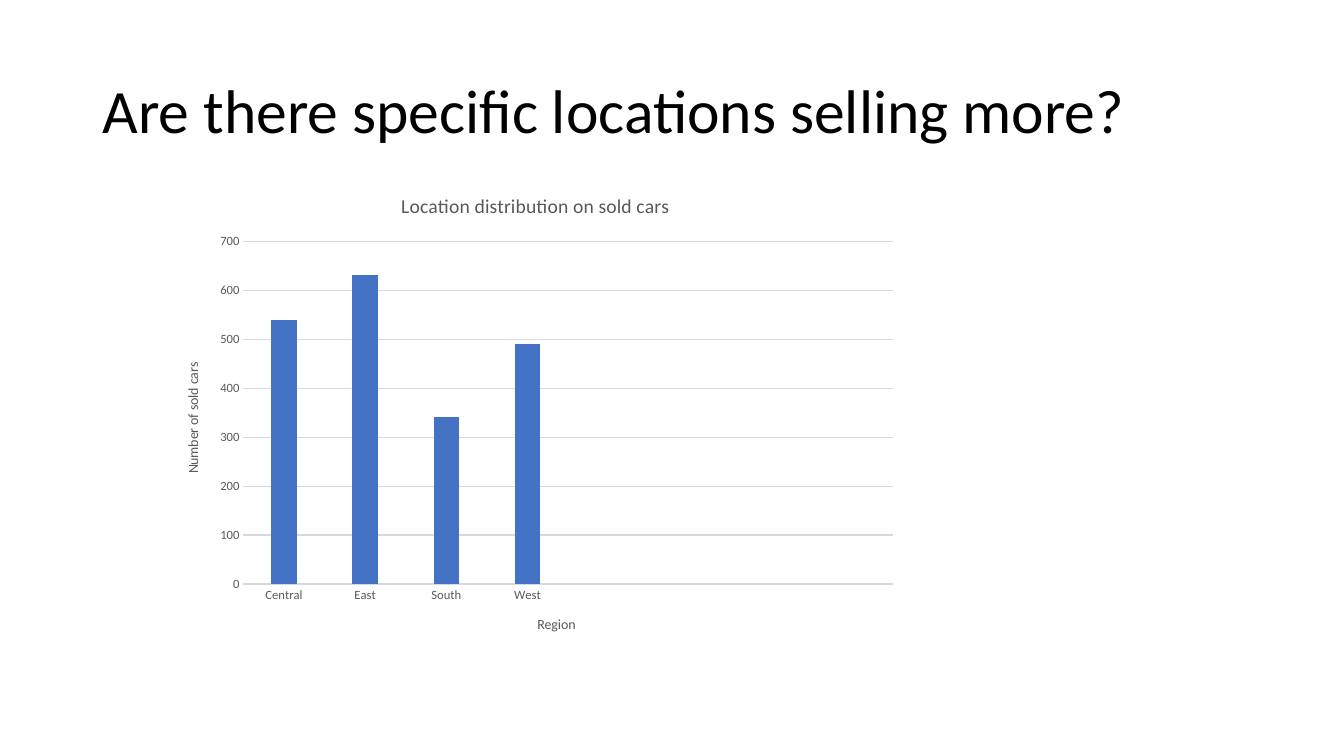
from pptx import Presentation
from pptx.chart.data import CategoryChartData
from pptx.dml.color import RGBColor
from pptx.enum.chart import XL_CHART_TYPE, XL_TICK_MARK
from pptx.enum.text import MSO_ANCHOR
from pptx.util import Pt

EMU_PER_PX = 9144  # 100 px to the inch
COLORS = {"title": "000000", "label": "595959", "line": "D9D9D9", "bar": "4472C4"}
SOLD_CARS = {"Central": 540, "East": 630, "South": 340, "West": 490}
EMPTY_SLOTS = 4


def px(length):
    return length * EMU_PER_PX


def color(name):
    return RGBColor.from_string(COLORS[name])


class SlideBuilder:
    def __init__(self, presentation, font_name):
        self.font_name = font_name
        self.slide = presentation.slides.add_slide(presentation.slide_layouts[6])

    def style_font(self, font, size, color_name):
        font.name = self.font_name
        font.size = Pt(size)
        font.bold = False
        font.color.rgb = color(color_name)

    def style_line(self, line):
        line.color.rgb = color("line")
        line.width = Pt(0.75)

    def heading(self, text, left, top, width, height):
        box = self.slide.shapes.add_textbox(px(left), px(top), px(width), px(height))
        frame = box.text_frame
        frame.word_wrap = True
        frame.vertical_anchor = MSO_ANCHOR.MIDDLE
        paragraph = frame.paragraphs[0]
        paragraph.text = text
        paragraph.line_spacing = 0.9
        self.style_font(paragraph.font, 44, "title")

    def chart_text(self, title, text, size):
        paragraph = title.text_frame.paragraphs[0]
        paragraph.text = text
        self.style_font(paragraph.font, size, "label")

    def axis(self, axis, title):
        axis.major_tick_mark = axis.minor_tick_mark = XL_TICK_MARK.NONE
        self.style_font(axis.tick_labels.font, 9, "label")
        self.chart_text(axis.axis_title, title, 10)

    def column_chart(self, title, values, empty_slots, left, top, width, height):
        data = CategoryChartData()
        data.categories = [*values, *[""] * empty_slots]
        data.add_series("Series 1", [*values.values(), *[None] * empty_slots])
        chart = self.slide.shapes.add_chart(
            XL_CHART_TYPE.COLUMN_CLUSTERED,
            px(left), px(top), px(width), px(height), data).chart
        self.style_font(chart.font, 10, "title")
        chart.has_legend = False
        self.chart_text(chart.chart_title, title, 14)
        chart.chart_title.include_in_layout = False

        # Columns
        plot = chart.plots[0]
        plot.gap_width = 219
        plot.overlap = -27
        plot.vary_by_categories = False
        series = plot.series[0]
        series.format.fill.solid()
        series.format.fill.fore_color.rgb = color("bar")
        series.invert_if_negative = False
        return chart


def main():
    presentation = Presentation()
    presentation.slide_width = px(1333)
    presentation.slide_height = px(750)
    builder = SlideBuilder(presentation, "Calibri")

    # Heading
    builder.heading("Are there specific locations selling more?", 92, 40, 1150, 145)

    # Chart of sold cars by region
    chart = builder.column_chart(
        "Location distribution on sold cars", SOLD_CARS, EMPTY_SLOTS, 162, 172, 738, 476)
    builder.axis(chart.category_axis, "Region")
    builder.style_line(chart.category_axis.format.line)
    value_axis = chart.value_axis
    builder.axis(value_axis, "Number of sold cars")
    value_axis.minimum_scale = 0
    value_axis.maximum_scale = 700
    value_axis.major_unit = 100
    value_axis.format.line.fill.background()
    builder.style_line(value_axis.major_gridlines.format.line)

    presentation.save("out.pptx")


if __name__ == "__main__":
    main()
